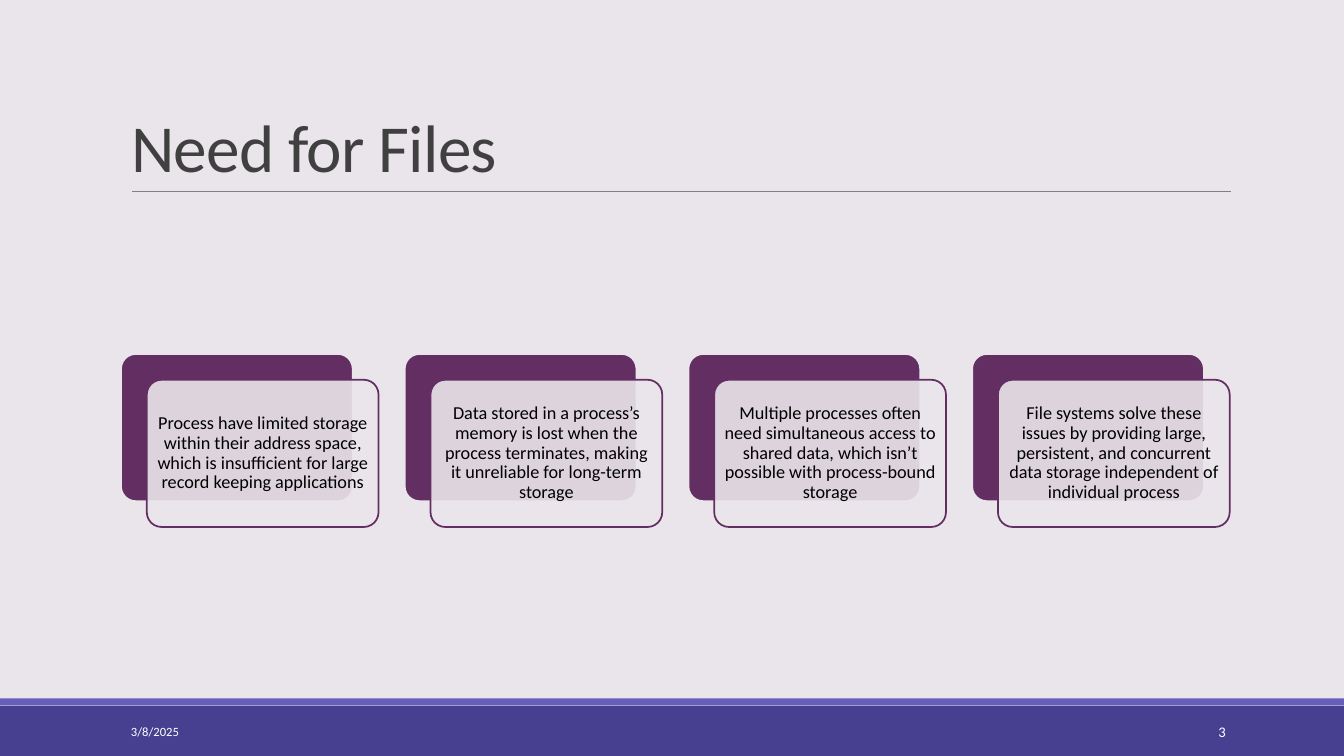
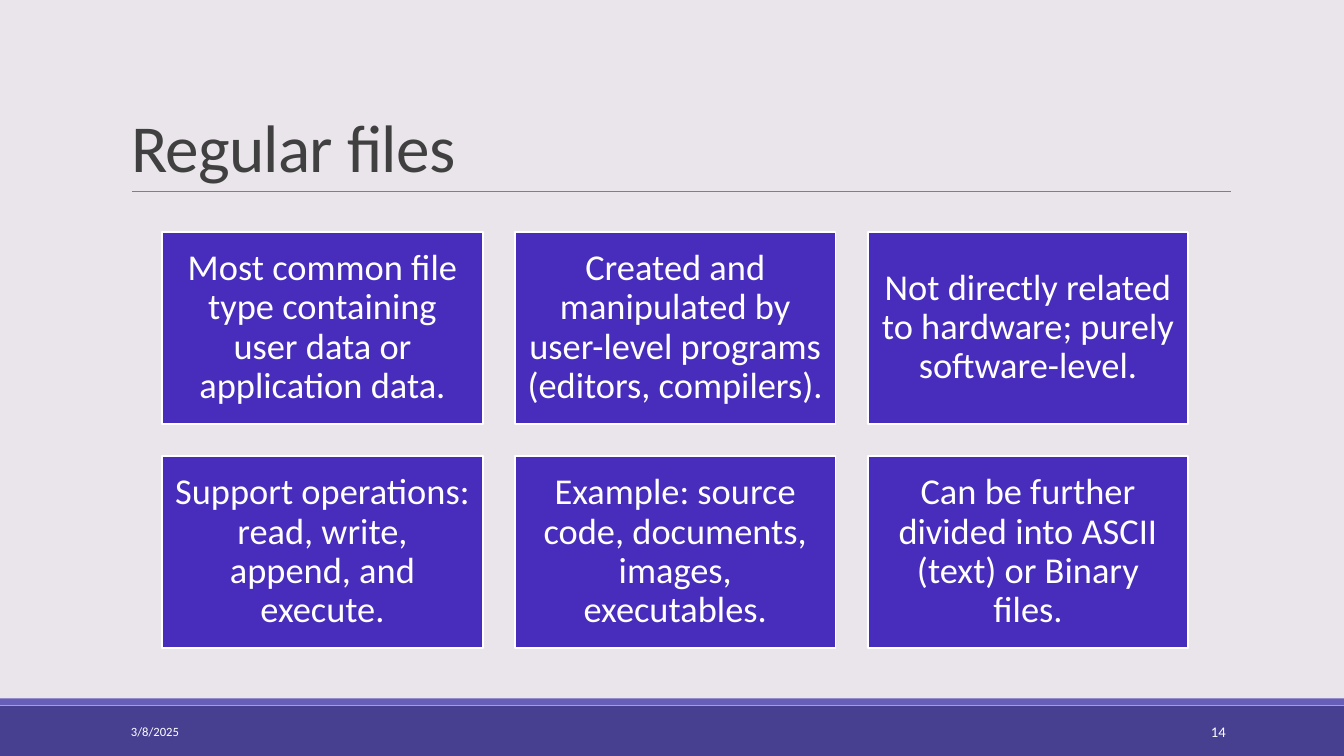
from lxml import etree
from pptx import Presentation
from pptx.dml.color import RGBColor
from pptx.enum import shapes, text
from pptx.oxml.ns import qn
from pptx.util import Cm, Pt

FONT = "Calibri"
BACKGROUND, WHITE, BLACK = "EAE5EB", "FFFFFF", "000000"
BAND, STRIPE, RULE, TITLE = "474091", "665EB8", "808080", "404040"
PLUM, INDIGO = "632E62", "482CBC"
WIDTH, HEIGHT = 33.87, 19.05
DATE = "3/8/2025"

NEEDS = [
    "Process have limited storage within their address space, which is insufficient for large record keeping applications",
    "Data stored in a process’s memory is lost when the process terminates, making it unreliable for long-term storage",
    "Multiple processes often need simultaneous access to shared data, which isn’t possible with process-bound storage",
    "File systems solve these issues by providing large, persistent, and concurrent data storage independent of individual process",
]
REGULAR_FILES = [
    "Most common file type containing user data or application data.",
    "Created and manipulated by user-level programs (editors, compilers).",
    "Not directly related to hardware; purely software-level.",
    "Support operations: read, write, append, and execute.",
    "Example: source code, documents, images, executables.",
    "Can be further divided into ASCII (text) or Binary files.",
]


def color(value):
    return RGBColor.from_string(value)


def write(shape, words, size, ink, align=text.PP_ALIGN.LEFT, anchor=text.MSO_ANCHOR.MIDDLE,
          spacing=1.0, inset=None, tracking=None):
    frame = shape.text_frame
    frame.word_wrap = True
    frame.auto_size = text.MSO_AUTO_SIZE.NONE
    frame.vertical_anchor = anchor
    if inset is not None:
        frame.margin_left = frame.margin_right = Cm(inset)
        frame.margin_top = frame.margin_bottom = Cm(inset)
    paragraph = frame.paragraphs[0]
    paragraph.alignment = align
    paragraph.line_spacing = spacing
    run = paragraph.add_run()
    run.text = words
    run.font.name = FONT
    run.font.size = Pt(size)
    run.font.color.rgb = color(ink)
    if tracking is not None:
        for properties in shape.element.iter(qn("a:rPr")):
            properties.set("spc", str(int(tracking * 100)))


def add_box(slide, kind, left, top, width, height, fill, line=None, opacity=None):
    shape = slide.shapes.add_shape(kind, Cm(left), Cm(top), Cm(width), Cm(height))
    shape.shadow.inherit = False
    shape.fill.solid()
    shape.fill.fore_color.rgb = color(fill)
    if opacity is not None:
        fill_color = shape.element.spPr.find(qn("a:solidFill")).find(qn("a:srgbClr"))
        etree.SubElement(fill_color, qn("a:alpha")).set("val", str(opacity * 1000))
    if line:
        shape.line.color.rgb = color(line)
        shape.line.width = Pt(1.25)
    else:
        shape.line.fill.background()
    return shape


def add_rule(slide, left, right, top):
    rule = slide.shapes.add_connector(shapes.MSO_CONNECTOR.STRAIGHT, Cm(left), Cm(top), Cm(right), Cm(top))
    rule.line.color.rgb = color(RULE)
    rule.line.width = Pt(0.5)
    etree.SubElement(rule.element.spPr, qn("a:effectLst"))
    return rule


def add_label(slide, words, left, width, size, align):
    label = slide.shapes.add_textbox(Cm(left), Cm(17.93), Cm(width), Cm(1.02))
    write(label, words, size, WHITE, align=align)


def style_layout(layout, slide):
    layout.background.fill.solid()
    layout.background.fill.fore_color.rgb = color(BACKGROUND)
    for placeholder in list(layout.placeholders):
        if placeholder.placeholder_format.type == shapes.PP_PLACEHOLDER.TITLE:
            placeholder.left, placeholder.top = Cm(3.05), Cm(0.79)
            placeholder.width, placeholder.height = Cm(27.94), Cm(4.04)
        else:
            layout.shapes.element.remove(placeholder.element)
    rectangle = shapes.MSO_SHAPE.RECTANGLE
    decorations = [
        add_box(slide, rectangle, 0, 17.78, WIDTH, HEIGHT - 17.78, BAND),
        add_box(slide, rectangle, 0, 17.6, WIDTH, 0.17, STRIPE),
        add_rule(slide, 3.33, 31.01, 4.82),
    ]
    for decoration in decorations:
        layout.shapes.element.append(decoration.element)


def fill_frame(slide, title, number):
    write(slide.shapes.title, title, 48, TITLE, anchor=text.MSO_ANCHOR.BOTTOM, spacing=0.85, tracking=-0.5)
    add_label(slide, DATE, 3.05, 6.86, 9, text.PP_ALIGN.LEFT)
    add_label(slide, number, 27.51, 3.63, 10.5, text.PP_ALIGN.RIGHT)


def add_cards(slide, items):
    left, top, width, height, pitch, offset = 3.05, 8.92, 5.84, 3.71, 7.15, 0.65
    rounded = shapes.MSO_SHAPE.ROUNDED_RECTANGLE
    for index, words in enumerate(items):
        x = left + index * pitch
        back = add_box(slide, rounded, x, top, width, height, PLUM, BACKGROUND)
        panel = add_box(slide, rounded, x + offset, top + offset, width, height, BACKGROUND, PLUM, opacity=90)
        back.adjustments[0] = panel.adjustments[0] = 0.1
        write(panel, words, 13, BLACK, align=text.PP_ALIGN.CENTER, spacing=0.9, inset=0.13)


def add_tiles(slide, items, columns=3):
    left, top, width, height, gap = 4.09, 5.84, 8.08, 4.84, 0.81
    for index, words in enumerate(items):
        row, column = divmod(index, columns)
        tile = add_box(slide, shapes.MSO_SHAPE.RECTANGLE, left + column * (width + gap),
                       top + row * (height + gap), width, height, INDIGO, WHITE)
        write(tile, words, 26, WHITE, align=text.PP_ALIGN.CENTER, spacing=0.9, inset=0.28)


def main():
    presentation = Presentation()
    presentation.slide_width, presentation.slide_height = Cm(WIDTH), Cm(HEIGHT)
    layout = presentation.slide_layouts.get_by_name("Title Only")

    needs = presentation.slides.add_slide(layout)
    style_layout(layout, needs)
    fill_frame(needs, "Need for Files", "3")
    add_cards(needs, NEEDS)

    regular = presentation.slides.add_slide(layout)
    fill_frame(regular, "Regular files", "14")
    add_tiles(regular, REGULAR_FILES)

    presentation.save("out.pptx")


if __name__ == "__main__":
    main()
